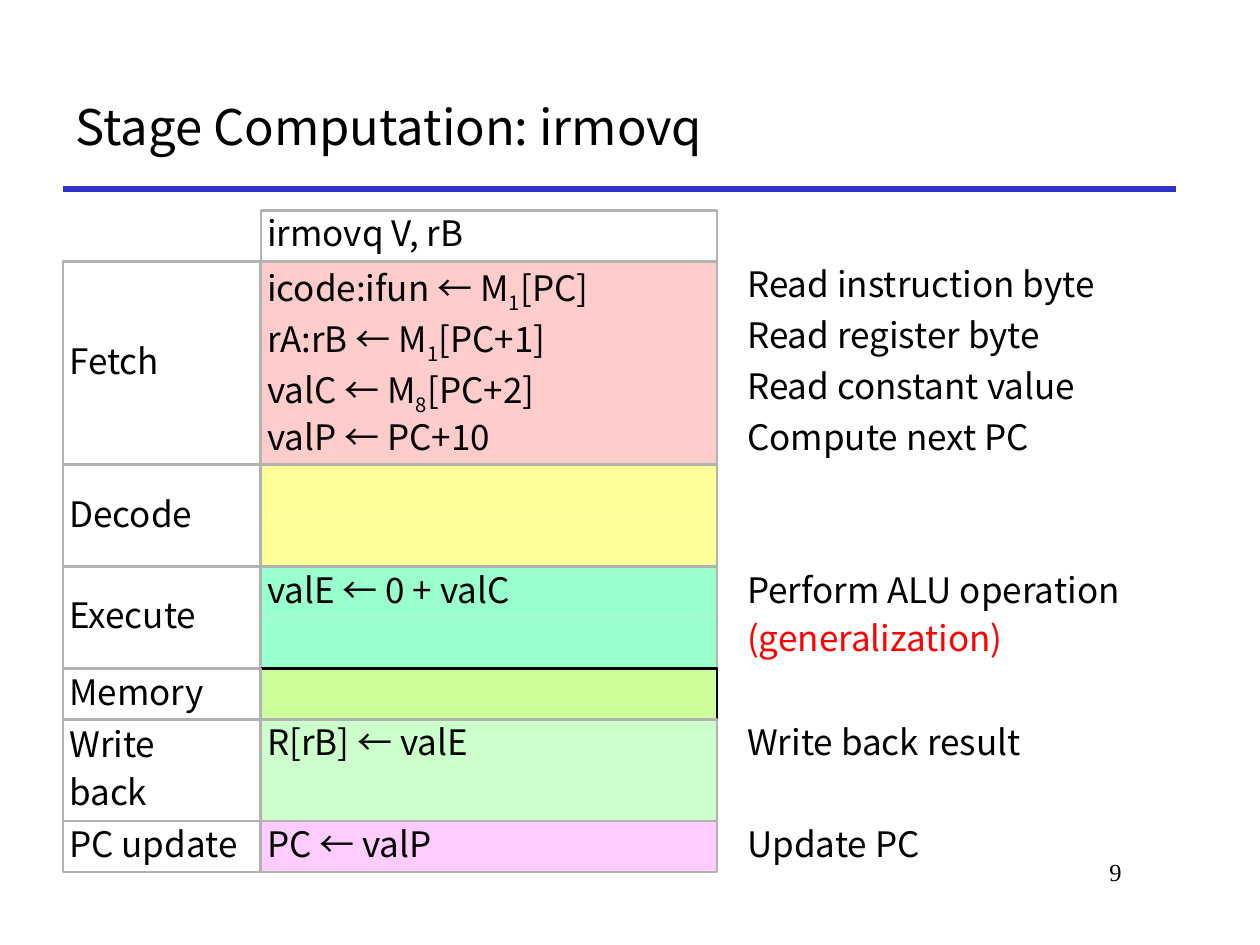
from lxml import etree
from pptx import Presentation
from pptx.dml.color import RGBColor
from pptx.enum.shapes import MSO_CONNECTOR, MSO_SHAPE
from pptx.enum.text import MSO_ANCHOR, MSO_AUTO_SIZE, PP_ALIGN
from pptx.oxml.ns import qn
from pptx.util import Inches, Pt

RECTANGLE, STRAIGHT = MSO_SHAPE.RECTANGLE, MSO_CONNECTOR.STRAIGHT
TOP, MIDDLE = MSO_ANCHOR.TOP, MSO_ANCHOR.MIDDLE
LEFT, RIGHT = PP_ALIGN.LEFT, PP_ALIGN.RIGHT
SANS, SERIF = "Noto Sans CJK KR", "Times New Roman"
BLACK, GREY, BLUE, RED = "000000", "B2B2B2", "3333CC", "FF0000"

TITLE = "Stage Computation: irmovq"
PAGE_NUMBER = "9"
INSTRUCTION = "irmovq V, rB"
# Stage label, fill, outline, then (computation, notes) per row; "_" lowers the next character.
STAGES = [
    ("Fetch", "FFCCCC", GREY, [
        ("icode:ifun ← M_1[PC]", "Read instruction byte"),
        ("rA:rB ← M_1[PC+1]", "Read register byte"),
        ("valC ← M_8[PC+2]", "Read constant value"),
        ("valP ← PC+10", "Compute next PC")]),
    ("Decode", "FFFF99", GREY, [("", ""), ("", "")]),
    ("Execute", "99FFCC", GREY, [
        ("valE ← 0 + valC", "Perform ALU operation\n(generalization)"), ("", "")]),
    ("Memory", "CCFF99", BLACK, [("", "")]),
    ("Write\nback", "CCFFCC", GREY, [("R[rB] ← valE", "Write back result"), ("", "")]),
    ("PC update", "FFCCFF", GREY, [("PC ← valP", "Update PC")]),
]

MARGIN, CONTENT_WIDTH = 0.5, 8.83
LABEL_WIDTH, CELL_WIDTH, NOTE_GAP = 1.57, 3.62, 0.19
CELL_LEFT = MARGIN + LABEL_WIDTH
NOTE_LEFT = CELL_LEFT + CELL_WIDTH + NOTE_GAP
GRID_TOP, GRID_BOTTOM = 1.67, 6.92
ROW_HEIGHT = (GRID_BOTTOM - GRID_TOP) / (1 + sum(len(rows) for *_, rows in STAGES))


def color(value):
    return RGBColor.from_string(value)


def add_span(para, text, size, font, ink, baseline=0):
    span = para.add_run()
    span.text = text
    span.font.size, span.font.name = Pt(size), font
    span.font.color.rgb = color(ink)
    properties = span.font._element
    etree.SubElement(properties, qn("a:ea")).set("typeface", font)
    if baseline:
        properties.set("baseline", str(baseline))


def write(box, text, size=20, font=SANS, inks=(BLACK,), align=LEFT, anchor=TOP,
          inset=0.05, spacing=0.9):
    """Write one paragraph per line; the last ink serves all remaining lines."""
    frame = box.text_frame
    frame.word_wrap, frame.auto_size = True, MSO_AUTO_SIZE.NONE
    frame.vertical_anchor = anchor
    frame.margin_left = frame.margin_right = Inches(inset)
    frame.margin_top = frame.margin_bottom = Inches(0.05)
    for index, line in enumerate(text.split("\n")):
        para = frame.add_paragraph() if index else frame.paragraphs[0]
        para.alignment, para.line_spacing = align, spacing
        para.space_before = Pt(6 if index else 0)
        ink = inks[min(index, len(inks) - 1)]
        base, _, rest = line.partition("_")
        add_span(para, base, size, font, ink)
        if rest:
            add_span(para, rest[0], size, font, ink, baseline=-25000)
            add_span(para, rest[1:], size, font, ink)


def grid_area(left, row, width, rows=1):
    return (Inches(left), Inches(GRID_TOP + row * ROW_HEIGHT),
            Inches(width), Inches(rows * ROW_HEIGHT))


def add_cell(page, area, text="", fill=None, outline=None, anchor=TOP):
    cell = page.shapes.add_shape(RECTANGLE, *area)
    cell.shadow.inherit = False
    if fill:
        cell.fill.solid()
        cell.fill.fore_color.rgb = color(fill)
    else:
        cell.fill.background()
    if outline:
        cell.line.color.rgb = color(outline)
        cell.line.width = Pt(1.5)
    else:
        cell.line.fill.background()
    if text:
        write(cell, text, anchor=anchor)


def add_heading(page):
    title = page.shapes.title
    title.left, title.top = Inches(MARGIN), Inches(0.5)
    title.width, title.height = Inches(CONTENT_WIDTH), Inches(1)
    write(title, TITLE, size=28, anchor=MIDDLE, inset=0.1, spacing=1)
    rule = page.shapes.add_connector(STRAIGHT, Inches(MARGIN), Inches(1.5),
                                     Inches(MARGIN + CONTENT_WIDTH), Inches(1.5))
    rule.line.color.rgb, rule.line.width = color(BLUE), Pt(3)
    etree.SubElement(rule._element.spPr, qn("a:effectLst"))


def add_stage(page, first_row, label, fill, outline, rows):
    count = len(rows)
    for row, (computation, note) in enumerate(rows, first_row):
        add_cell(page, grid_area(CELL_LEFT, row, CELL_WIDTH), computation, fill,
                 outline if count == 1 else None)
        if note:
            box = page.shapes.add_textbox(*grid_area(NOTE_LEFT, row, CELL_WIDTH))
            write(box, note, inks=(BLACK, RED))
    if count > 1:
        add_cell(page, grid_area(CELL_LEFT, first_row, CELL_WIDTH, count), outline=outline)
    add_cell(page, grid_area(MARGIN, first_row, LABEL_WIDTH, count), label,
             outline=GREY, anchor=MIDDLE)


def main():
    deck = Presentation()
    deck.slide_width, deck.slide_height = Inches(10), Inches(7.5)
    page = deck.slides.add_slide(deck.slide_layouts[5])
    add_heading(page)
    add_cell(page, grid_area(CELL_LEFT, 0, CELL_WIDTH), INSTRUCTION, outline=GREY)
    row = 1
    for label, fill, outline, rows in STAGES:
        add_stage(page, row, label, fill, outline, rows)
        row += len(rows)
    number = page.shapes.add_textbox(Inches(7.58), Inches(6.75), Inches(1.42), Inches(0.5))
    write(number, PAGE_NUMBER, size=14, font=SERIF, align=RIGHT, inset=0.1, spacing=1)
    deck.save("out.pptx")


if __name__ == "__main__":
    main()
